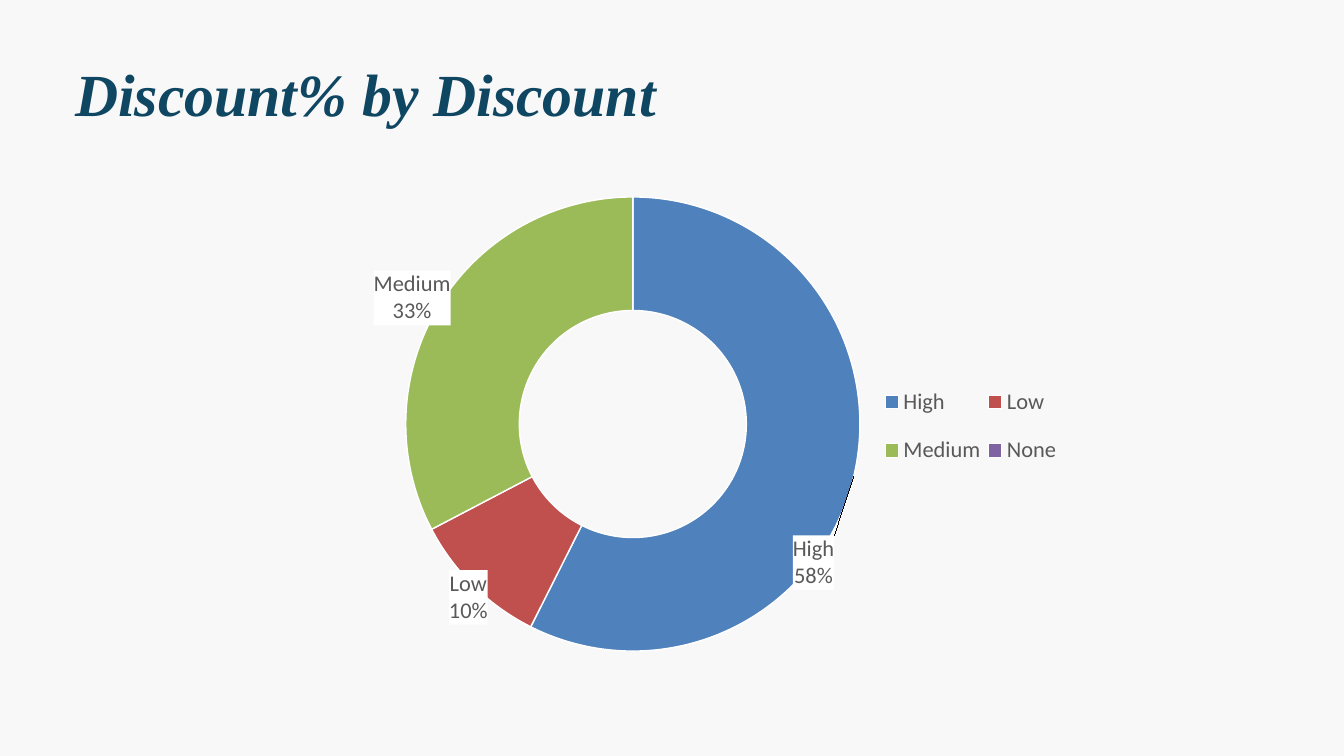
from typing import NamedTuple

from pptx import Presentation
from pptx.chart.chart import Chart
from pptx.chart.data import CategoryChartData
from pptx.dml.color import RGBColor
from pptx.enum.chart import XL_CHART_TYPE, XL_LEGEND_POSITION
from pptx.enum.text import MSO_ANCHOR, MSO_AUTO_SIZE, PP_ALIGN
from pptx.oxml import parse_xml
from pptx.oxml.ns import nsdecls
from pptx.util import Pt

BACKGROUND = RGBColor(0xF8, 0xF8, 0xF8)
NAVY = RGBColor(0x0F, 0x46, 0x62)
GRAY = RGBColor(0x59, 0x59, 0x59)
BLACK = RGBColor(0, 0, 0)
WHITE = RGBColor(0xFF, 0xFF, 0xFF)
BLUE = RGBColor(0x4F, 0x81, 0xBD)
RED = RGBColor(0xC0, 0x50, 0x4D)
GREEN = RGBColor(0x9B, 0xBB, 0x59)
PURPLE = RGBColor(0x80, 0x64, 0xA2)


class Discount(NamedTuple):
    name: str
    percent: int
    color: RGBColor
    label_shift: tuple[float, float] | None  # fractions of the chart size


DISCOUNTS = [
    Discount("High", 58, BLUE, (0.02, 0.21)),
    Discount("Low", 10, RED, (-0.06, 0.11)),
    Discount("Medium", 33, GREEN, (-0.1, -0.08)),
    Discount("None", 0, PURPLE, None),
]


def style_font(font, size: float, color: RGBColor, name: str = "Calibri") -> None:
    font.size = Pt(size)
    font.name = name
    font.color.rgb = color


def manual_layout(x: float, y: float, size: tuple[float, float] | None = None,
                  inner: bool = False):
    """Return a chart layout; without a size, x and y are a shift."""
    target = '<c:layoutTarget val="inner"/>' if inner else ""
    modes = '<c:xMode val="edge"/><c:yMode val="edge"/>' if size else ""
    extent = f'<c:w val="{size[0]}"/><c:h val="{size[1]}"/>' if size else ""
    return parse_xml(
        f'<c:layout {nsdecls("c")}><c:manualLayout>{target}{modes}'
        f'<c:x val="{x}"/><c:y val="{y}"/>{extent}</c:manualLayout></c:layout>')


def point_label(index: int, discount: Discount):
    """Return a white label with name and percentage, or a removed one."""
    if discount.label_shift is None:
        return parse_xml(f'<c:dLbl {nsdecls("c")}><c:idx val="{index}"/>'
                         '<c:delete val="1"/></c:dLbl>')
    label = parse_xml(
        f'<c:dLbl {nsdecls("c", "a")}><c:idx val="{index}"/>'
        '<c:numFmt formatCode="0&quot;%&quot;" sourceLinked="0"/>'
        f'<c:spPr><a:solidFill><a:srgbClr val="{WHITE}"/></a:solidFill></c:spPr>'
        f'<c:txPr><a:bodyPr/><a:p><a:pPr><a:defRPr sz="2400"><a:solidFill>'
        f'<a:srgbClr val="{GRAY}"/></a:solidFill><a:latin typeface="Calibri"/>'
        '</a:defRPr></a:pPr><a:endParaRPr lang="en-US"/></a:p></c:txPr>'
        '<c:showLegendKey val="0"/><c:showVal val="1"/><c:showCatName val="1"/>'
        '<c:showSerName val="0"/><c:showPercent val="0"/><c:showBubbleSize val="0"/>'
        '<c:separator>\n</c:separator></c:dLbl>')
    label.insert(1, manual_layout(*discount.label_shift))
    return label


def replace_layout(parent, position: int, layout) -> None:
    for old in parent.xpath("./c:layout"):
        parent.remove(old)
    parent.insert(position, layout)


def add_title(page, text: str) -> None:
    title = page.shapes.title
    title.left, title.top, title.width, title.height = Pt(80.64), Pt(47.5), Pt(908.6), Pt(86.4)
    frame = title.text_frame
    frame.margin_left = frame.margin_right = frame.margin_top = frame.margin_bottom = 0
    frame.vertical_anchor = MSO_ANCHOR.TOP
    frame.word_wrap = True
    frame.auto_size = MSO_AUTO_SIZE.SHAPE_TO_FIT_TEXT
    para = frame.paragraphs[0]
    para.alignment = PP_ALIGN.LEFT
    para.line_spacing = Pt(89.6)
    span = para.add_run()
    span.text = text
    style_font(span.font, 64, NAVY, "Times New Roman")
    span.font.bold = span.font.italic = True


def add_doughnut(page, discounts: list[Discount]) -> Chart:
    data = CategoryChartData()
    data.categories = [discount.name for discount in discounts]
    data.add_series("Series 1", [discount.percent for discount in discounts])
    chart = page.shapes.add_chart(XL_CHART_TYPE.DOUGHNUT, Pt(336.24), Pt(200.88),
                                  Pt(804.24), Pt(506.88), data).chart
    chart.has_title = False
    style_font(chart.font, 10, BLACK)
    plot = chart.plots[0]
    plot.vary_by_categories = True
    chart.element.xpath(".//c:holeSize")[0].set("val", "75")

    # Slices and their labels
    series = plot.series[0]
    labels = series.data_labels
    labels.show_value = labels.show_category_name = True
    style_font(labels.font, 24, GRAY)
    label_list = chart.element.xpath(".//c:ser/c:dLbls")[0]
    for index, discount in enumerate(discounts):
        slice_format = series.points[index].format
        slice_format.fill.solid()
        slice_format.fill.fore_color.rgb = discount.color
        slice_format.line.color.rgb = WHITE
        slice_format.line.width = Pt(1.5)
        label_list.insert(index, point_label(index, discount))

    # Legend in two columns on the right
    chart.has_legend = True
    chart.legend.position = XL_LEGEND_POSITION.RIGHT
    chart.legend.include_in_layout = False
    style_font(chart.legend.font, 24, GRAY)
    replace_layout(chart.element.xpath(".//c:legend")[0], 1,
                   manual_layout(0.75, 0.38, (0.25, 0.25)))
    replace_layout(chart.element.xpath(".//c:plotArea")[0], 0,
                   manual_layout(0.12, 0.02, (0.61, 0.96), inner=True))
    return chart


def main() -> None:
    deck = Presentation()
    deck.slide_width, deck.slide_height = Pt(1440), Pt(810)
    page = deck.slides.add_slide(deck.slide_layouts[5])
    page.background.fill.solid()
    page.background.fill.fore_color.rgb = BACKGROUND
    add_title(page, "Discount% by Discount")
    add_doughnut(page, DISCOUNTS)
    deck.save("out.pptx")


if __name__ == "__main__":
    main()
